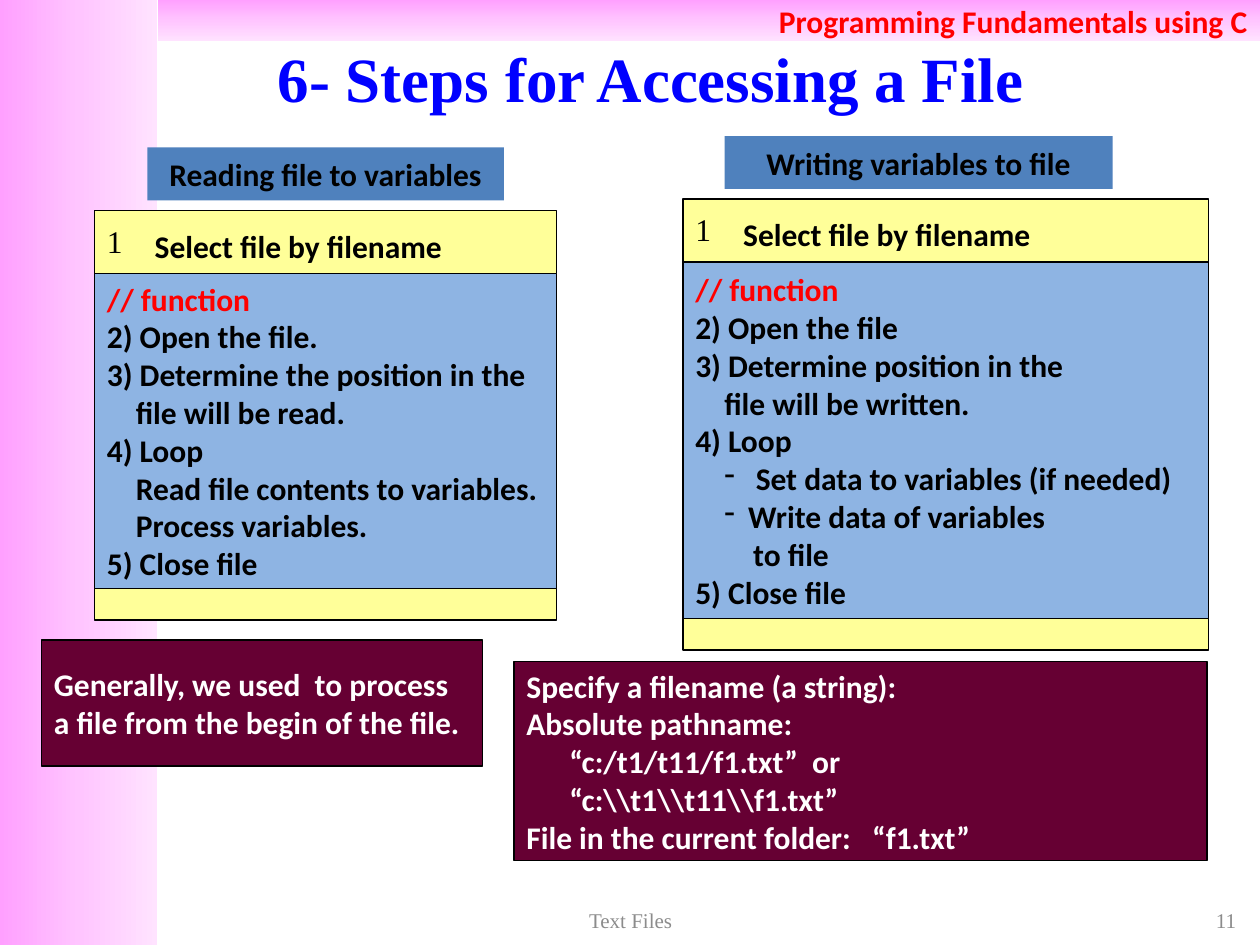
from lxml import etree
from pptx import Presentation
from pptx import util as u
from pptx.dml.color import RGBColor
from pptx.enum import shapes, text
from pptx.oxml import parse_xml
from pptx.oxml.ns import nsdecls, qn

COLORS = {
    "black": "000000", "white": "FFFFFF", "red": "FF0000", "title": "0000FF",
    "label": "4F81BD", "program": "FFFF99", "function": "8EB4E3",
    "note": "660033", "footer": "8C8C8C",
}
FADE = [(0, "FFA0FF"), (50, "FFC5FF"), (100, "FFE3FF")]
LEFT, CENTER, RIGHT = text.PP_ALIGN.LEFT, text.PP_ALIGN.CENTER, text.PP_ALIGN.RIGHT

# Content: a line is its text, or (text, left indent, bullet, hanging indent)
STEP = 0.23
SELECT = [("Select file by filename", 0.38, "1)", 0.38)]
COLUMNS = [
    {
        "label": ("Reading file to variables", (1.17, 1.17, 2.83, 0.42)),
        "program": (0.75, 1.67, 3.67, 3.25),
        "function_height": 2.5,
        "steps": [
            "// function",
            "2) Open the file.",
            "3) Determine the position in the",
            ("file will be read.", STEP),
            "4) Loop",
            ("Read file contents to variables.", STEP),
            ("Process variables.", STEP),
            "5) Close file",
        ],
    },
    {
        "label": ("Writing variables to file", (5.75, 1.08, 3.08, 0.42)),
        "program": (5.42, 1.58, 4.17, 3.58),
        "function_height": 2.83,
        "steps": [
            "// function",
            "2) Open the file",
            "3) Determine position in the",
            ("file will be written.", STEP),
            "4) Loop",
            ("Set data to variables (if needed)", 0.48, "-", 0.25),
            ("Write data of variables", 0.42, "-", 0.19),
            ("to file", 2 * STEP),
            "5) Close file",
        ],
    },
]
NOTES = [
    ((0.33, 5.08, 3.5, 1), [
        "Generally, we used  to process",
        "a file from the begin of the file.",
    ]),
    ((4.08, 5.25, 5.5, 1.58), [
        "Specify a filename (a string):",
        "Absolute pathname:",
        ("“c:/t1/t11/f1.txt”  or", 0.34),
        ("“c:\\\\t1\\\\t11\\\\f1.txt”", 0.34),
        "File in the current folder:   “f1.txt”",
    ]),
]
FOOTERS = [
    ("11", (7.58, 7.17, 2.33, 0.27), RIGHT),
    ("Text Files", (3.42, 7.17, 3.17, 0.27), CENTER),
]

deck = Presentation()
deck.slide_width, deck.slide_height = u.Inches(10), u.Inches(7.5)
page = deck.slides.add_slide(deck.slide_layouts[6])


def rgb(name):
    return RGBColor.from_string(COLORS[name])


def write(box, lines, color="black", size=18, font="Calibri", bold=True,
          align=LEFT, anchor=text.MSO_ANCHOR.MIDDLE):
    frame = box.text_frame
    frame.word_wrap = True
    frame.vertical_anchor = anchor
    for index, line in enumerate(lines):
        words, indent, bullet, hang = (
            (line, 0, None, 0) if isinstance(line, str)
            else (*line, None, 0)[:4])
        para = frame.paragraphs[0] if index == 0 else frame.add_paragraph()
        para.text = words
        para.alignment = align
        para.font.size, para.font.name, para.font.bold = u.Pt(size), font, bold
        para.font.color.rgb = rgb("red" if words.startswith("//") else color)
        if indent:
            props = para._p.get_or_add_pPr()
            props.set("marL", str(u.Inches(indent)))
            props.set("indent", str(-u.Inches(hang)))
            if bullet:
                mark = parse_xml(f'<a:buChar {nsdecls("a")} char="{bullet}"/>')
                props.insert_element_before(mark, "a:tabLst", "a:defRPr", "a:extLst")


def add_box(place, fill=None, outlined=False):
    box = page.shapes.add_shape(shapes.MSO_SHAPE.RECTANGLE, *map(u.Inches, place))
    box.shadow.inherit = False
    if fill:
        box.fill.solid()
        box.fill.fore_color.rgb = rgb(fill)
    if outlined:
        box.line.color.rgb = rgb("black")
        box.line.width = u.Pt(0.75)
    else:
        box.line.fill.background()
    return box


def add_fade(place, angle):
    box = add_box(place)
    box.fill.gradient()
    gradient = box._element.spPr.find(qn("a:gradFill"))
    stops = gradient.find(qn("a:gsLst"))
    for stop in list(stops):
        stops.remove(stop)
    for position, color in FADE:
        stop = etree.SubElement(stops, qn("a:gs"), pos=str(position * 1000))
        etree.SubElement(stop, qn("a:srgbClr"), val=color)
    gradient.find(qn("a:lin")).set("ang", str(angle * 60000))
    return box


def add_text(place, words, **style):
    box = page.shapes.add_textbox(*map(u.Inches, place))
    write(box, [words], font="Times New Roman", **style)


# Side band, course banner and title
add_fade((0, 0, 1.25, 7.5), 0)
banner = add_fade((1.25, 0, 8.75, 0.33), 90)
write(banner, ["Programming Fundamentals using C"], "red", align=RIGHT)
add_text((0.83, 0.3, 8.67, 0.62), "6- Steps for Accessing a File",
         color="title", size=36, align=CENTER)

# Reading and writing columns
for column in COLUMNS:
    label, place = column["label"]
    write(add_box(place, "label"), [label], align=CENTER)
    left, top, width, height = column["program"]
    program = add_box(column["program"], "program", outlined=True)
    program.text_frame.margin_top = u.Inches(0.13)
    write(program, SELECT, anchor=text.MSO_ANCHOR.TOP)
    function = add_box((left, top + 0.5, width, column["function_height"]),
                       "function", outlined=True)
    write(function, column["steps"])

# Notes
for place, lines in NOTES:
    write(add_box(place, "note", outlined=True), lines, "white")

# Footer
for words, place, align in FOOTERS:
    add_text(place, words, color="footer", size=12, bold=False, align=align)

deck.save("out.pptx")
